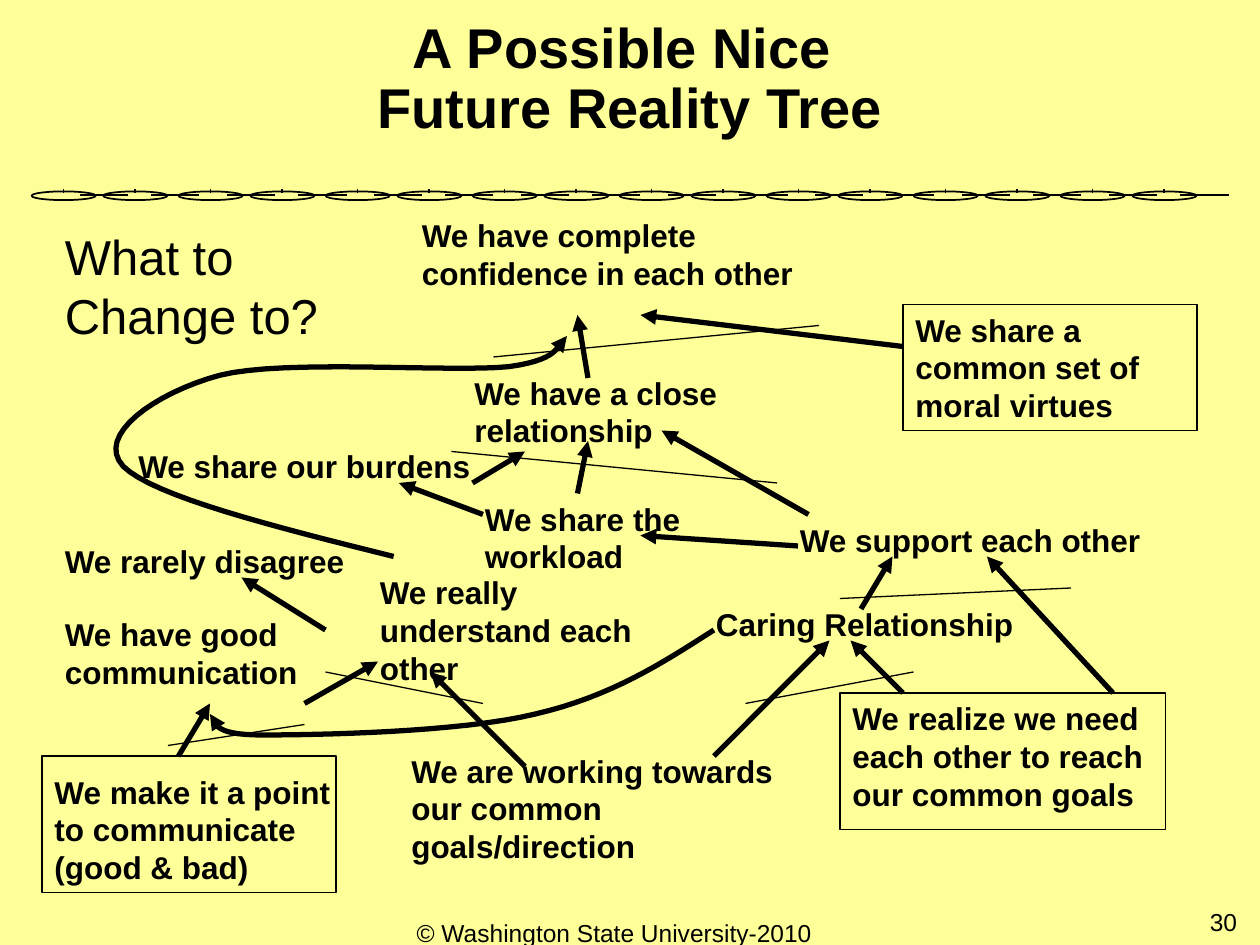
from pptx import Presentation
from pptx.dml.color import RGBColor
from pptx.enum.shapes import MSO_CONNECTOR as Conn, MSO_SHAPE as Kind
from pptx.enum.text import MSO_ANCHOR as Anchor, PP_ALIGN as Align
from pptx.oxml.ns import qn
from pptx.util import Pt
from lxml.etree import SubElement as Sub

BLACK = RGBColor(0, 0, 0)
CREAM = RGBColor(0xFF, 0xFF, 0x99)

# Font formats
HEAD = {"name": "Arial", "size": Pt(32), "bold": True}
ASK = {"name": "Arial", "size": Pt(28), "bold": False}
NODE = {"name": "Arial", "size": Pt(18), "bold": True}
FOOT = {"name": "Arial", "size": Pt(14), "bold": False}

# Statements: text, left, top, width, height
NODES = [
    ("We are working towards our common goals/direction", 228, 426, 222, 72),
    ("We have complete confidence in each other", 234, 120, 246, 50),
    ("We have a close relationship", 264, 210, 168, 50),
    ("We share our burdens", 72, 252, 222, 29),
    ("We rarely disagree", 30, 306, 222, 29),
    ("We really understand each other", 210, 324, 186, 72),
    ("We have good communication", 30, 348, 204, 50),
    ("Caring Relationship", 402, 342, 222, 29),
    ("We support each other", 450, 294, 222, 29),
    ("We share the workload", 270, 282, 162, 50),
    ("We realize we need each other to reach our common goals",
     480, 396, 192, 72),
    ("We make it a point to communicate (good & bad)", 24, 438, 192, 72),
    ("We share a common set of moral virtues", 516, 174, 180, 72),
]

# Frames around the injections: left, top, width, height
FRAMES = [(480, 396, 186, 78), (24, 432, 168, 78), (516, 174, 168, 72)]

# Causes to effects: x1, y1, x2, y2
ARROWS = [
    (456, 312, 366, 306), (300, 438, 246, 384), (276, 294, 228, 276),
    (408, 432, 474, 366), (636, 396, 564, 318), (492, 348, 510, 318),
    (516, 396, 486, 366), (516, 198, 366, 180), (462, 294, 378, 246),
    (330, 282, 336, 252), (270, 276, 300, 258), (336, 216, 330, 180),
    (186, 360, 138, 330), (174, 402, 216, 378), (102, 432, 120, 402),
]

# Thin bars that join causes
BARS = [
    (426, 402, 522, 384), (186, 384, 276, 402), (96, 426, 174, 414),
    (282, 204, 468, 186), (258, 258, 444, 276), (480, 342, 612, 336),
]

# Bezier loops: start, then two handles and an end for each piece
LOOPS = [
    [(225, 318), (156.5, 301), (87.5, 283.5), (70.5, 266.5),
     (54, 249), (88.5, 224.5), (125.5, 214.5),
     (162.5, 205), (258, 213), (291, 209.5),
     (324, 205), (317.5, 195), (324, 192)],
    [(408, 360), (378.5, 379), (349, 398), (306, 408),
     (263, 418.5), (181, 420), (150, 420),
     (119, 420), (124, 412), (120, 408)],
]


def add_text(slide, text, box, look, align=Align.LEFT, anchor=Anchor.TOP):
    frame = slide.shapes.add_textbox(*map(Pt, box)).text_frame
    frame.word_wrap = True
    frame.vertical_anchor = anchor
    para = frame.paragraphs[0]
    para.text = text
    para.alignment = align
    for key, value in look.items():
        setattr(para.font, key, value)
    para.font.color.rgb = BLACK
    return para


def set_line(shape, width, head=False):
    shape.line.color.rgb = BLACK
    shape.line.width = Pt(width)
    if head:
        Sub(shape.line._get_or_add_ln(), qn("a:tailEnd"), type="triangle")


def add_line(slide, ends, width, head=False):
    line = slide.shapes.add_connector(Conn.STRAIGHT, *map(Pt, ends))
    set_line(line, width, head)
    Sub(line._element.spPr, qn("a:effectLst"))


def add_shape(slide, kind, box, width):
    shape = slide.shapes.add_shape(kind, *map(Pt, box))
    shape.shadow.inherit = False
    shape.fill.background()
    set_line(shape, width)


def bend(knots, steps=16):
    """Points along a chain of cubic Bezier pieces."""
    spots = [knots[0]]
    for i in range(0, len(knots) - 1, 3):
        for n in range(1, steps + 1):
            t = n / steps
            u = 1 - t
            mix = (u ** 3, 3 * u * u * t, 3 * u * t * t, t ** 3)
            spots.append(tuple(sum(m * k[axis] for m, k in
                                   zip(mix, knots[i:i + 4]))
                               for axis in (0, 1)))
    return spots


def add_loop(slide, knots):
    spots = [(Pt(x), Pt(y)) for x, y in bend(knots)]
    pen = slide.shapes.build_freeform(*spots[0])
    pen.add_line_segments(spots[1:], close=False)
    loop = pen.convert_to_shape()
    loop.shadow.inherit = False
    loop.fill.background()
    set_line(loop, 3, True)


def add_chain(slide, pairs=8):
    for i in range(2 * pairs):
        x = 18 + 84 * (i // 2) + 41 * (i % 2)
        add_shape(slide, Kind.OVAL, (x, 109.4, 36.7, 5), 1)
        add_line(slide, (x + 18.3, 108, x + 18.3, 110.2), 1)
        add_line(slide, (x + 55, 111.6, x + 27.5, 111.6), 1)


def main():
    deck = Presentation()
    deck.slide_width, deck.slide_height = Pt(720), Pt(540)
    slide = deck.slides.add_slide(deck.slide_layouts[6])
    slide.background.fill.solid()
    slide.background.fill.fore_color.rgb = CREAM

    # Divider and footer
    add_chain(slide)
    add_text(slide, "© Washington State University-2010",
             (216, 521, 270, 37.5), FOOT, Align.CENTER)
    add_text(slide, "30", (546, 515, 168, 37.5), FOOT, Align.RIGHT)

    # Title and question
    title = add_text(slide, "A Possible Nice \vFuture Reality Tree",
                     (0, 30, 720, 54), HEAD, Align.CENTER, Anchor.BOTTOM)
    title.line_spacing = 0.9
    add_text(slide, "What to Change to?", (30, 126, 198, 75), ASK)

    # Tree
    for text, *box in NODES:
        add_text(slide, text, box, NODE)
    for box in FRAMES:
        add_shape(slide, Kind.RECTANGLE, box, 0.75)
    for ends in ARROWS:
        add_line(slide, ends, 3, True)
    for knots in LOOPS:
        add_loop(slide, knots)
    for ends in BARS:
        add_line(slide, ends, 0.75)

    deck.save("out.pptx")


if __name__ == "__main__":
    main()
